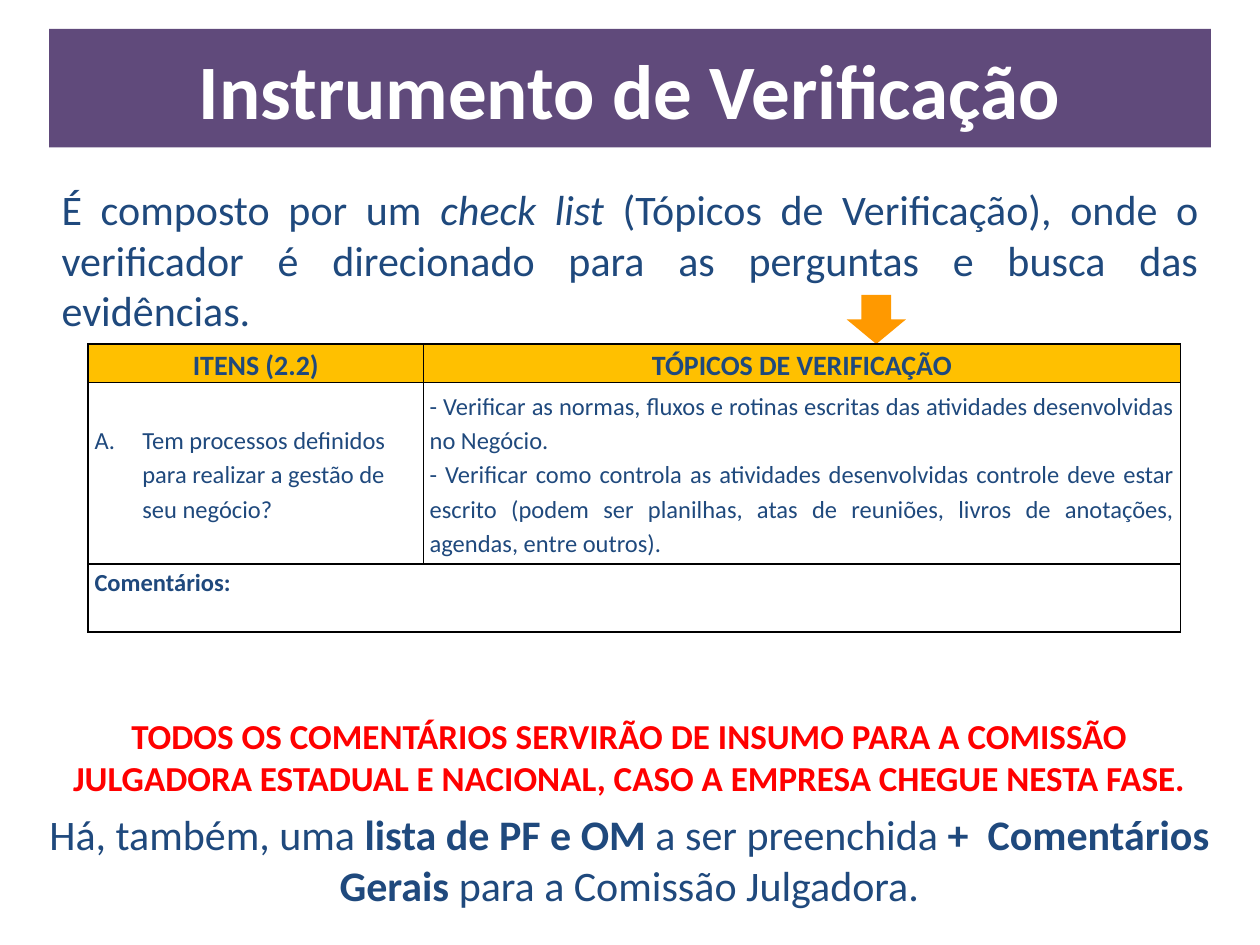
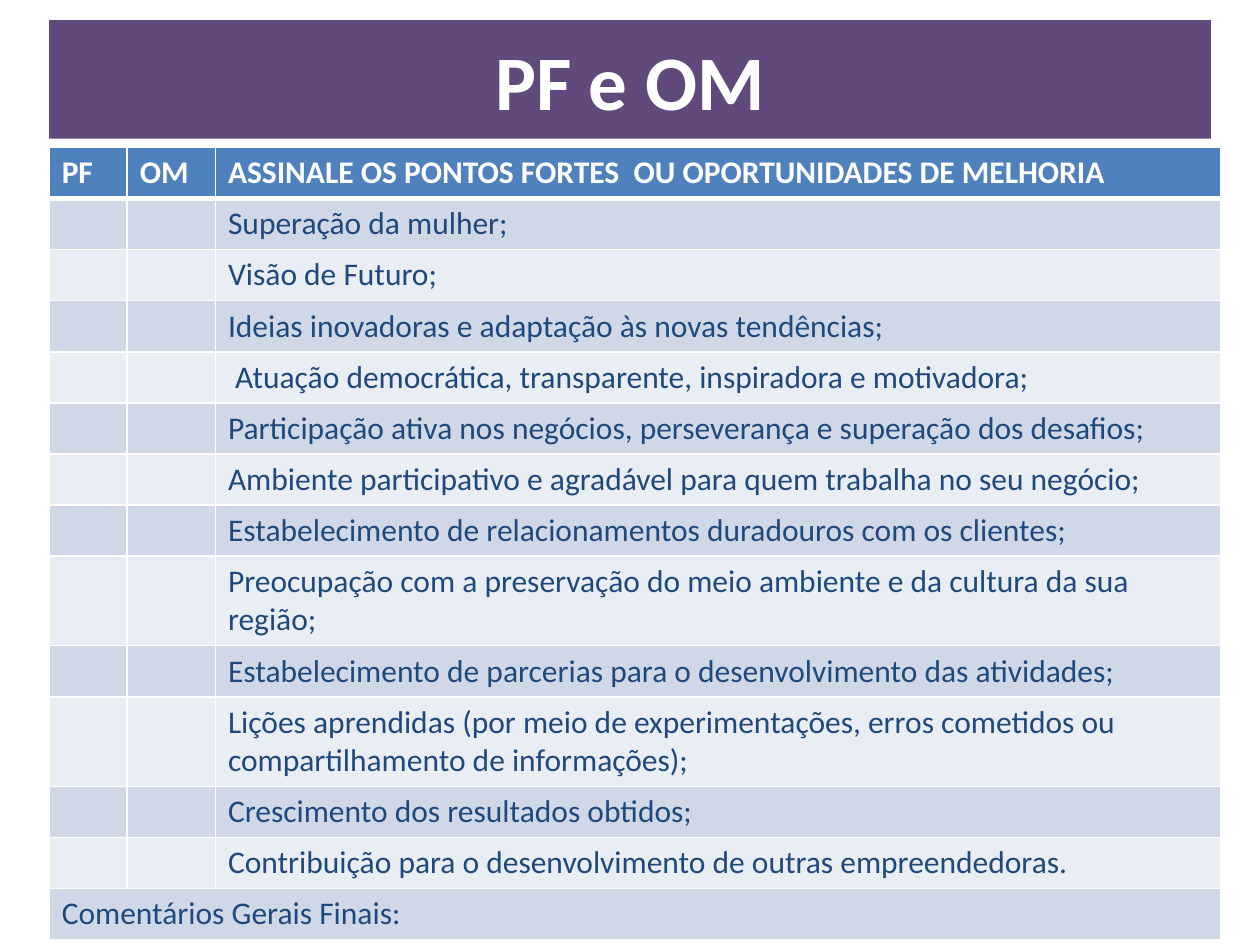
from lxml.etree import SubElement
from pptx import Presentation
from pptx.dml.color import RGBColor
from pptx.enum.shapes import MSO_SHAPE
from pptx.enum.text import MSO_ANCHOR, MSO_AUTO_SIZE, PP_ALIGN
from pptx.oxml import parse_xml
from pptx.oxml.ns import nsdecls, qn
from pptx.util import Inches, Pt

FONT = "Calibri"
PURPLE = RGBColor(0x60, 0x4A, 0x7B)
NAVY = RGBColor(0x1F, 0x49, 0x7D)
BLUE = RGBColor(0x4F, 0x81, 0xBD)
BAND_DARK = RGBColor(0xD0, 0xD8, 0xE8)
BAND_LIGHT = RGBColor(0xE9, 0xED, 0xF4)
GOLD = RGBColor(0xFF, 0xC0, 0x00)
ORANGE = RGBColor(0xFF, 0x99, 0x00)
RED = RGBColor(0xFF, 0x00, 0x00)
BLACK = RGBColor(0x00, 0x00, 0x00)
WHITE = RGBColor(0xFF, 0xFF, 0xFF)

MARGIN, CONTENT_WIDTH, BANNER_HEIGHT = 0.39, 9.22, 0.94

INTRO = [
    ("É composto por um ", {}),
    ("check list ", {"italic": True}),
    ("(Tópicos de Verificação), onde o verificador é direcionado para as "
     "perguntas e busca das evidências.", {}),
]
NOTICE = ("TODOS OS COMENTÁRIOS SERVIRÃO DE INSUMO PARA A COMISSÃO JULGADORA "
          "ESTADUAL E NACIONAL, CASO A EMPRESA CHEGUE NESTA FASE.")
CLOSING = [
    ("Há, também, uma ", {}),
    ("lista de PF e OM ", {"bold": True}),
    ("a ser preenchida", {}),
    (" +  Comentários Gerais ", {"bold": True}),
    ("para a Comissão Julgadora.", {}),
]
CHECK_HEADERS = ["ITENS (2.2)", "TÓPICOS DE VERIFICAÇÃO"]
CHECK_ITEM = "Tem processos definidos para realizar a gestão de seu negócio?"
CHECK_TOPICS = [
    "- Verificar as normas, fluxos e rotinas escritas das atividades "
    "desenvolvidas no Negócio.",
    "- Verificar como controla as atividades desenvolvidas controle deve estar "
    "escrito (podem ser planilhas, atas de reuniões, livros de anotações, "
    "agendas, entre outros).",
]
CHECK_COMMENTS = "Comentários:"

POINT_HEADERS = ["PF", "OM", "ASSINALE OS PONTOS FORTES  OU OPORTUNIDADES DE MELHORIA"]
POINTS = [
    "Superação da mulher;",
    "Visão de Futuro;",
    "Ideias inovadoras e adaptação às novas tendências;",
    " Atuação democrática, transparente, inspiradora e motivadora;",
    "Participação ativa nos negócios, perseverança e superação dos desafios;",
    "Ambiente participativo e agradável para quem trabalha no seu negócio;",
    "Estabelecimento de relacionamentos duradouros com os clientes;",
    "Preocupação com a preservação do meio ambiente e da cultura da sua região;",
    "Estabelecimento de parcerias para o desenvolvimento das atividades;",
    "Lições aprendidas (por meio de experimentações, erros cometidos ou "
    "compartilhamento de informações);",
    "Crescimento dos resultados obtidos;",
    "Contribuição para o desenvolvimento de outras empreendedoras.",
]
POINT_COMMENTS = "Comentários Gerais Finais:"
LINE_LIMIT = 72


def write(frame, text, size=18, color=NAVY, bold=False, align=PP_ALIGN.LEFT,
          before=0, spacing=None):
    """Add one paragraph, given as a string or as (text, format) spans."""
    para = frame.paragraphs[0]
    if para.runs:
        para = frame.add_paragraph()
    para.alignment = align
    para.space_before = Pt(before)
    if spacing:
        para.line_spacing = spacing
    for words, style in [(text, {})] if isinstance(text, str) else text:
        span = para.add_run()
        span.text = words
        span.font.name = FONT
        span.font.size = Pt(size)
        span.font.color.rgb = color
        span.font.bold = style.get("bold", bold)
        span.font.italic = style.get("italic", False)
    return para


def add_titled_page(deck, title, top):
    """Add a page whose title is a rounded purple banner."""
    page = deck.slides.add_slide(deck.slide_layouts[5])
    banner = page.shapes.title
    banner.left, banner.top = Inches(MARGIN), Inches(top)
    banner.width, banner.height = Inches(CONTENT_WIDTH), Inches(BANNER_HEIGHT)
    banner.element.spPr.append(parse_xml(
        f'<a:prstGeom {nsdecls("a")} prst="roundRect"><a:avLst>'
        '<a:gd name="adj" fmla="val 25400"/></a:avLst></a:prstGeom>'))
    banner.fill.solid()
    banner.fill.fore_color.rgb = PURPLE
    frame = banner.text_frame
    frame.word_wrap = True
    frame.auto_size = MSO_AUTO_SIZE.NONE
    frame.vertical_anchor = MSO_ANCHOR.MIDDLE
    write(frame, title, size=44, color=WHITE, bold=True, align=PP_ALIGN.CENTER)
    return page


def add_text_box(page, left, top, width, height):
    """Add a wrapping text box and return its frame."""
    box = page.shapes.add_textbox(Inches(left), Inches(top), Inches(width), Inches(height))
    box.text_frame.word_wrap = True
    return box.text_frame


def add_grid(page, left, top, widths, heights):
    """Add a table with the given column widths and row heights."""
    table = page.shapes.add_table(
        len(heights), len(widths), Inches(left), Inches(top),
        Inches(sum(widths)), Inches(sum(heights))).table
    table.horz_banding = False
    for column, width in zip(table.columns, widths):
        column.width = Inches(width)
    for row, height in zip(table.rows, heights):
        row.height = Inches(height)
    return table


def style_cell(cell, fill, border, top=1, bottom=1):
    """Give a cell its borders and then its fill."""
    properties = cell._tc.get_or_add_tcPr()
    for side, width in (("L", 1), ("R", 1), ("T", top), ("B", bottom)):
        line = SubElement(properties, qn(f"a:ln{side}"), w=str(Pt(width)))
        SubElement(SubElement(line, qn("a:solidFill")), qn("a:srgbClr"), val=str(border))
    cell.fill.solid()
    cell.fill.fore_color.rgb = fill


def add_checklist(page):
    """Add the table of items and verification topics."""
    table = add_grid(page, 0.7, 2.73, [2.66, 6.01], [0.3, 1.44, 0.54])
    for index, row in enumerate(table.rows):
        for cell in row.cells:
            style_cell(cell, WHITE if index else GOLD, BLACK)
            cell.margin_left = cell.margin_right = Inches(0.05)
            cell.margin_top = cell.margin_bottom = 0
            cell.vertical_anchor = MSO_ANCHOR.TOP if index == 2 else MSO_ANCHOR.MIDDLE
    for column, header in enumerate(CHECK_HEADERS):
        write(table.cell(0, column).text_frame, header, size=16, bold=True,
              align=PP_ALIGN.CENTER, spacing=1.15)
    item = write(table.cell(1, 0).text_frame, CHECK_ITEM, size=14, spacing=1.15)
    properties = item._p.get_or_add_pPr()
    properties.set("marL", str(Inches(0.38)))
    properties.set("indent", str(-Inches(0.38)))
    SubElement(properties, qn("a:buAutoNum"), type="alphaUcPeriod")
    for topic in CHECK_TOPICS:
        write(table.cell(1, 1).text_frame, topic, size=14,
              align=PP_ALIGN.JUSTIFY, spacing=1.15)
    table.cell(2, 0).merge(table.cell(2, 1))
    write(table.cell(2, 0).text_frame, CHECK_COMMENTS, size=14, bold=True, spacing=1.15)


def add_points_table(page):
    """Add the banded list of strengths and opportunities."""
    rows = [POINT_HEADERS] + [["", "", point] for point in POINTS]
    rows.append([POINT_COMMENTS, "", ""])
    heights = [0.7 if len(row[2]) > LINE_LIMIT else 0.4 for row in rows]
    table = add_grid(page, MARGIN, 1.17, [0.62, 0.7, 7.98], heights)
    for index, row in enumerate(rows):
        header = index == 0
        fill = BLUE if header else BAND_DARK if index % 2 else BAND_LIGHT
        for column, text in enumerate(row):
            cell = table.cell(index, column)
            style_cell(cell, fill, WHITE, top=3 if index == 1 else 1,
                       bottom=3 if header else 1)
            if header:
                cell.vertical_anchor = MSO_ANCHOR.MIDDLE
            if text:
                write(cell.text_frame, text, color=WHITE if header else NAVY, bold=header)
    last = len(rows) - 1
    table.cell(last, 0).merge(table.cell(last, 2))


def build_instrument_page(deck):
    """Build the page about the verification instrument."""
    page = add_titled_page(deck, "Instrumento de Verificação", 0.23)
    intro = add_text_box(page, MARGIN, 1.41, CONTENT_WIDTH, 1.31)
    write(intro, INTRO, size=24, align=PP_ALIGN.JUSTIFY, before=6)
    arrow = page.shapes.add_shape(MSO_SHAPE.DOWN_ARROW, Inches(6.72), Inches(2.34),
                                  Inches(0.47), Inches(0.39))
    arrow.shadow.inherit = False
    arrow.fill.solid()
    arrow.fill.fore_color.rgb = ORANGE
    arrow.line.fill.background()
    closing = add_text_box(page, 0.27, 5.62, 9.45, 1.67)
    write(closing, NOTICE, size=20, color=RED, bold=True, align=PP_ALIGN.CENTER, before=6)
    write(closing, CLOSING, size=24, align=PP_ALIGN.CENTER, before=6)
    add_checklist(page)


def main():
    """Build and save the deck."""
    deck = Presentation()
    deck.slide_width, deck.slide_height = Inches(10), Inches(7.5)
    build_instrument_page(deck)
    add_points_table(add_titled_page(deck, "PF e OM", 0.16))
    deck.save("out.pptx")


if __name__ == "__main__":
    main()
